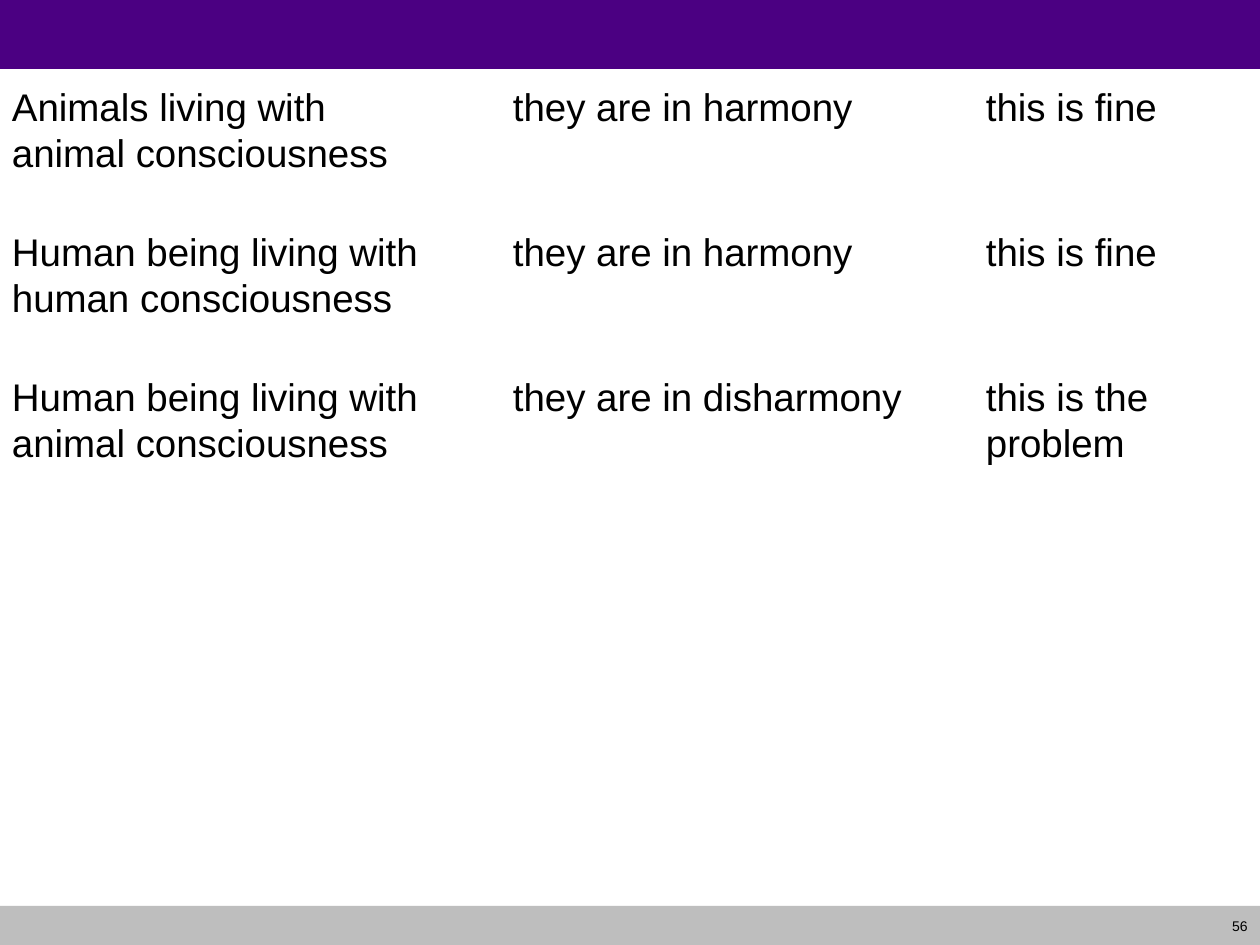
from dataclasses import dataclass

from lxml.etree import SubElement
from pptx import Presentation
from pptx.dml.color import RGBColor as Color
from pptx.enum.shapes import MSO_SHAPE as Shape
from pptx.enum.text import MSO_ANCHOR as Anchor, PP_ALIGN as Align
from pptx.oxml.ns import qn
from pptx.util import Emu, Pt

PX = 914400 / 126
PAGE_WIDTH, PAGE_HEIGHT = 1260, 945
HEADER_HEIGHT, FOOTER_HEIGHT = 69, 39


@dataclass(frozen=True)
class Theme:
    header: str = "4B0082"
    footer: str = "BEBEBE"
    paper: str = "FFFFFF"
    ink: str = "000000"
    font: str = "Arial"
    body_size: int = 22
    number_size: int = 8
    line_spacing: float = 1.07
    rule: int = 1
    heavy_rule: int = 3


THEME = Theme()
COLUMNS = (501, 473, 284)
ROWS = (145, 145, 117)
COMPARISON = (
    ("Animals living with\nanimal consciousness", "they are in harmony", "this is fine"),
    ("Human being living with human consciousness", "they are in harmony", "this is fine"),
    ("Human being living with animal consciousness", "they are in disharmony",
     "this is the problem"),
)


def px(*lengths):
    return [Emu(round(length * PX)) for length in lengths]


def apply_format(target, values):
    for name, value in values.items():
        setattr(target, name, value)


def style_text(para, size):
    apply_format(para.font, {"name": THEME.font, "size": Pt(size)})
    para.font.color.rgb = Color.from_string(THEME.ink)


def add_band(page, box, color):
    band = page.shapes.add_shape(Shape.RECTANGLE, *px(*box))
    band.shadow.inherit = False
    band.fill.solid()
    band.fill.fore_color.rgb = Color.from_string(color)
    band.line.fill.background()


def add_footer(page, box, number):
    """Draw the footer band with the page number at its right end."""
    left, top, width, height = box
    number_width = 59
    add_band(page, box, THEME.footer)
    number_box = page.shapes.add_textbox(
        *px(left + width - number_width, top, number_width, height))
    frame = number_box.text_frame
    apply_format(frame, {"word_wrap": True, "vertical_anchor": Anchor.MIDDLE})
    para = frame.paragraphs[0]
    apply_format(para, {"text": number, "alignment": Align.RIGHT})
    style_text(para, THEME.number_size)


def add_borders(cell, widths):
    properties = cell._tc.get_or_add_tcPr()
    for side, width in widths.items():
        line = SubElement(properties, qn(f"a:ln{side}"), w=str(Pt(width)))
        fill = SubElement(line, qn("a:solidFill"))
        SubElement(fill, qn("a:srgbClr"), val=THEME.paper)


def fill_cell(cell, text, borders):
    side, none = px(9, 0)
    apply_format(cell, {"text": text, "margin_left": side, "margin_right": side,
                        "margin_top": none, "margin_bottom": none})
    add_borders(cell, borders)
    cell.fill.solid()
    cell.fill.fore_color.rgb = Color.from_string(THEME.paper)
    for para in cell.text_frame.paragraphs:
        para.line_spacing = THEME.line_spacing
        style_text(para, THEME.body_size)


def add_comparison(page, left, top):
    """Place the table; a heavy rule parts its first row from the rest."""
    table = page.shapes.add_table(
        len(ROWS), len(COLUMNS), *px(left, top, sum(COLUMNS), sum(ROWS))).table
    apply_format(table, {"first_row": False, "horz_banding": False})
    for column, width in zip(table.columns, px(*COLUMNS)):
        column.width = width
    for row, height in zip(table.rows, px(*ROWS)):
        row.height = height
    for i, texts in enumerate(COMPARISON):
        borders = dict.fromkeys("LRTB", THEME.rule)
        if i < 2:
            borders["B" if i == 0 else "T"] = THEME.heavy_rule
        for j, text in enumerate(texts):
            fill_cell(table.cell(i, j), text, borders)


def main():
    deck = Presentation()
    deck.slide_width, deck.slide_height = px(PAGE_WIDTH, PAGE_HEIGHT)
    page = deck.slides.add_slide(deck.slide_layouts[6])
    add_band(page, (0, 0, PAGE_WIDTH, HEADER_HEIGHT), THEME.header)
    add_footer(page, (0, PAGE_HEIGHT - FOOTER_HEIGHT, PAGE_WIDTH, FOOTER_HEIGHT), "56")
    add_comparison(page, 3, 84)
    deck.save("out.pptx")


if __name__ == "__main__":
    main()
